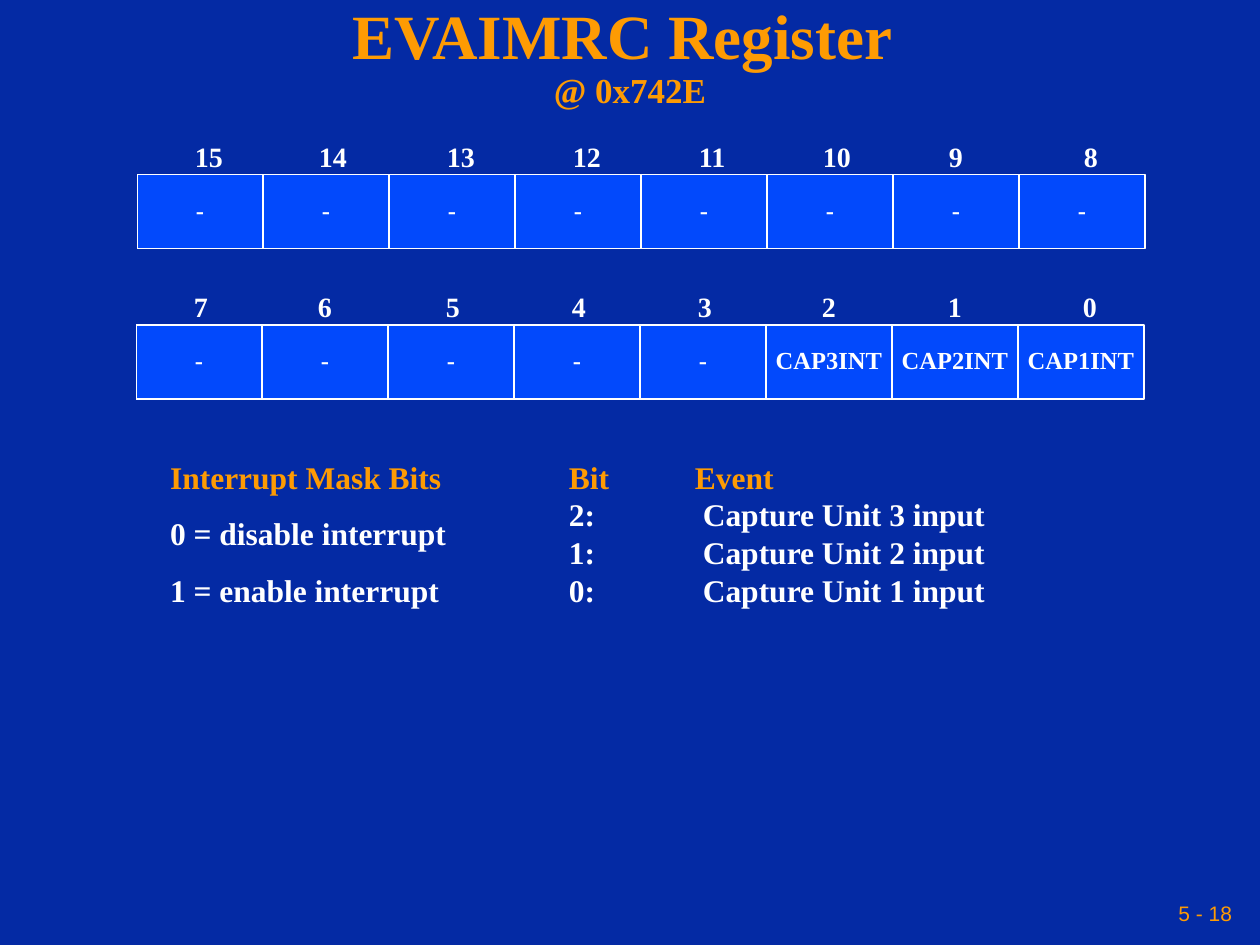
import copy

import lxml.etree
import pptx
import pptx.dml.color
import pptx.enum.shapes
import pptx.enum.text
import pptx.oxml.ns
import pptx.util

Cm = pptx.util.Cm
Pt = pptx.util.Pt
RGBColor = pptx.dml.color.RGBColor
ALIGN = pptx.enum.text.PP_ALIGN
ANCHOR = pptx.enum.text.MSO_ANCHOR
AUTO_SIZE = pptx.enum.text.MSO_AUTO_SIZE
qn = pptx.oxml.ns.qn

NAVY = RGBColor(0x04, 0x2A, 0xA4)
BLUE = RGBColor(0x02, 0x49, 0xFC)
ORANGE = RGBColor(0xFE, 0x9B, 0x03)
WHITE = RGBColor(0xFF, 0xFF, 0xFF)
SERIF, SANS = "Times New Roman", "Arial"

CELL_WIDTH, CELL_HEIGHT = 2.54, 1.49
NUMBER_OFFSETS = [0.91, 0.87, 0.91, 0.91, 0.91, 0.87, 0.87, 1.05]
FIELD_CENTER = 1.26


class RegisterSlide:
    def __init__(self, presentation):
        self.slide = presentation.slides.add_slide(presentation.slide_layouts[5])
        self.slide.background.fill.solid()
        self.slide.background.fill.fore_color.rgb = NAVY

    def style(self, font, size, color, name=SERIF, bold=True):
        font.name, font.size, font.bold = name, Pt(size), bold
        font.color.rgb = color

    def title(self, name, address):
        shape = self.slide.shapes.title
        shape.left, shape.top = Cm(1.9), Cm(0.43)
        shape.width, shape.height = Cm(21.6), Cm(1.47)
        frame = shape.text_frame
        frame.text = f"{name} \v{address}"
        frame.auto_size = AUTO_SIZE.NONE
        frame.vertical_anchor = ANCHOR.MIDDLE
        paragraph = frame.paragraphs[0]
        paragraph.alignment = ALIGN.CENTER
        paragraph.line_spacing = 0.9
        for run, size in zip(paragraph.runs, (36, 20)):
            self.style(run.font, size, ORANGE)
        # The line break takes the size of the first line
        line_break = paragraph._p.find(qn("a:br"))
        line_break.insert(0, copy.deepcopy(paragraph.runs[0]._r.rPr))

    def text(self, lines, left, top, width, height, size, colors=(WHITE,),
             align=ALIGN.LEFT, wrap=False, tabs=(), spacing=None):
        """Add a text box; the last colour holds for all further lines."""
        box = self.slide.shapes.add_textbox(Cm(left), Cm(top), Cm(width), Cm(height))
        frame = box.text_frame
        frame.text = "\n".join(lines)
        frame.word_wrap = wrap
        frame.auto_size = AUTO_SIZE.SHAPE_TO_FIT_TEXT
        for index, paragraph in enumerate(frame.paragraphs):
            if tabs:
                properties = paragraph._p.get_or_add_pPr()
                tab_list = lxml.etree.SubElement(properties, qn("a:tabLst"))
                for position in tabs:
                    lxml.etree.SubElement(tab_list, qn("a:tab"),
                                          pos=str(Cm(position)), algn="l")
            paragraph.alignment = align
            if spacing and index:
                paragraph.line_spacing = spacing
            for run in paragraph.runs:
                self.style(run.font, size, colors[min(index, len(colors) - 1)])
        return box

    def cell(self, left, top):
        """Draw a cell without its left edge, which the neighbour supplies."""
        right, bottom = left + CELL_WIDTH, top + CELL_HEIGHT
        builder = self.slide.shapes.build_freeform(Cm(left), Cm(top))
        corners = [(right, top), (right, bottom), (left, bottom)]
        builder.add_line_segments([(Cm(x), Cm(y)) for x, y in corners], close=False)
        shape = builder.convert_to_shape()
        shape.shadow.inherit = False
        shape.fill.solid()
        shape.fill.fore_color.rgb = BLUE
        shape.line.color.rgb = WHITE
        shape.line.width = Pt(1)

    def left_edge(self, left, top):
        line = self.slide.shapes.add_connector(
            pptx.enum.shapes.MSO_CONNECTOR.STRAIGHT,
            Cm(left), Cm(top), Cm(left), Cm(top + CELL_HEIGHT))
        line.line.color.rgb = WHITE
        line.line.width = Pt(1)
        lxml.etree.SubElement(line._element.spPr, qn("a:effectLst"))

    def register_row(self, left, top, high_bit, fields):
        columns = [left + index * CELL_WIDTH for index in range(len(fields))]
        for column in reversed(columns):
            self.cell(column, top)
        self.left_edge(left, top)
        for index, (column, field) in enumerate(zip(columns, fields)):
            number = str(high_bit - index)
            self.text([number], column + NUMBER_OFFSETS[index], top - 0.84,
                      0.51 + 0.28 * len(number), 0.91, 16)
            width = 0.66 if field == "-" else 2.8
            self.text([field], column + FIELD_CENTER - width / 2, top + 0.28,
                      width, 0.84, 14, align=ALIGN.CENTER)

    def page_number(self, label):
        box = self.text([label], 17.35, 17.98, 7.62, 0.84, 12, align=ALIGN.RIGHT)
        frame = box.text_frame
        frame.auto_size = AUTO_SIZE.NONE
        frame.word_wrap = True
        frame.vertical_anchor = ANCHOR.MIDDLE
        frame.margin_left = frame.margin_right = Cm(0.13)
        run = frame.paragraphs[0].runs[0]
        self.style(run.font, 12, ORANGE, SANS, bold=False)


def main():
    presentation = pptx.Presentation()
    presentation.slide_width, presentation.slide_height = Cm(25.4), Cm(19.05)

    register = RegisterSlide(presentation)
    register.title("EVAIMRC Register", "@ 0x742E")
    register.register_row(2.77, 3.52, 15, ["-"] * 8)
    register.register_row(2.75, 6.56, 7,
                          ["-"] * 5 + ["CAP3INT", "CAP2INT", "CAP1INT"])
    register.text(["Interrupt Mask Bits", "0 = disable interrupt",
                   "1 = enable interrupt"],
                  3.18, 9.1, 6.07, 3.3, 18, (ORANGE, WHITE), spacing=1.5)
    events = [f"{bit}:\t\t Capture Unit {bit + 1} input" for bit in (2, 1, 0)]
    register.text(["Bit\t\tEvent"] + events, 11.22, 9.1, 12.9, 3.3, 18,
                  (ORANGE, WHITE), wrap=True, tabs=(1.6, 2.54))
    register.page_number("5 - 18")

    presentation.save("out.pptx")


if __name__ == "__main__":
    main()
